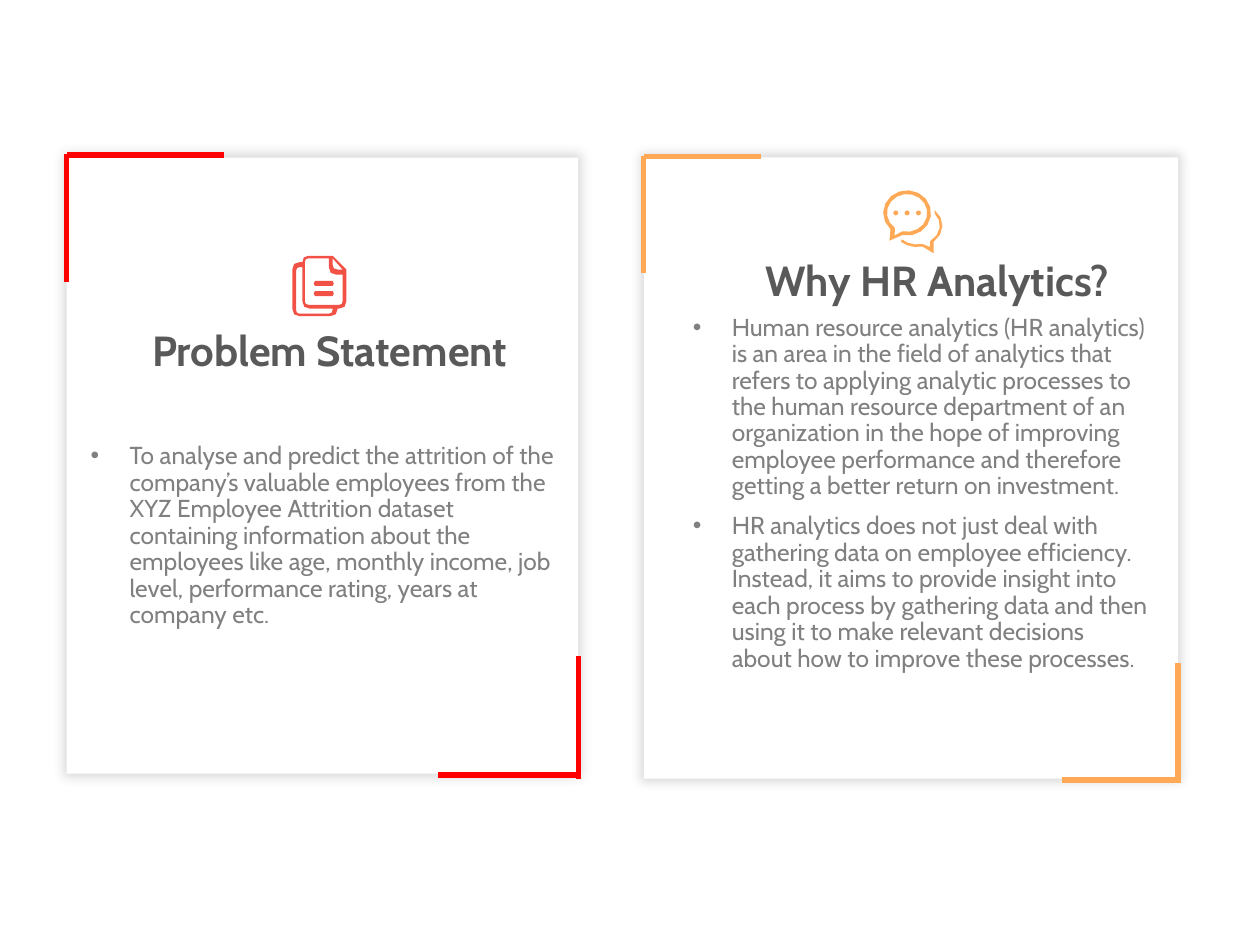
from math import ceil, cos, radians, sin

from lxml.etree import SubElement
from pptx import Presentation
from pptx.dml.color import RGBColor
from pptx.enum.shapes import MSO_CONNECTOR as Connector, MSO_SHAPE as Shape
from pptx.enum.text import MSO_AUTO_SIZE as AutoSize, PP_ALIGN as Align
from pptx.oxml.ns import qn
from pptx.util import Inches, Pt

COLORS = {
    "card": "FFFFFF",
    "shadow": "404040",
    "heading": "595959",
    "body": "808080",
    "red": "FF0000",
    "coral": "F25245",
    "orange": "FFA956",
}


def rounded(*corners):
    """Contour through (x, y, radius) corners, each eased by three points."""
    points = []
    for i, (x, y, radius) in enumerate(corners):
        if not radius:
            points.append((x, y))
            continue
        ends = []
        for nx, ny, _ in (corners[i - 1], corners[(i + 1) % len(corners)]):
            share = radius / ((nx - x) ** 2 + (ny - y) ** 2) ** 0.5
            ends.append((x + (nx - x) * share, y + (ny - y) * share))
        (ax, ay), (bx, by) = ends
        points += [(ax, ay), ((ax + 2 * x + bx) / 4, (ay + 2 * y + by) / 4), (bx, by)]
    return points


def bar(left, top, right, bottom):
    """Flat bar with pointed-round ends."""
    cut = (bottom - top) / 4
    return [(left + cut, top), (right - cut, top), (right, top + 2 * cut),
            (right - cut, bottom), (left + cut, bottom), (left, top + 2 * cut)]


def arc(cx, cy, rx, ry, start=0, end=360, step=24):
    """Points on an ellipse; angles in degrees, clockwise from the right."""
    count = ceil(abs(end - start) / step)
    angles = [radians(start + (end - start) * i / count) for i in range(count + 1)]
    return [(cx + rx * cos(a), cy + ry * sin(a)) for a in angles]


class SlideBuilder:
    """Holds the text style and the slide being filled."""
    font = "Cabin"
    line_spacing = 0.9
    space_before = Pt(7.5)
    indent = Inches(0.31)

    def __init__(self, slide):
        self.slide = slide
        self.shapes = slide.shapes

    def color(self, name):
        return RGBColor.from_string(COLORS[name])

    def card(self, left, top, width, height):
        card = self.shapes.add_shape(Shape.RECTANGLE, Inches(left), Inches(top),
                                     Inches(width), Inches(height))
        card.fill.solid()
        card.fill.fore_color.rgb = self.color("card")
        card.line.fill.background()
        card.shadow.inherit = False
        effects = card._element.spPr.find(qn("a:effectLst"))
        shadow = SubElement(effects, qn("a:outerShdw"), blurRad=str(Pt(6)),
                            dist="0", dir="0", sx="101000", sy="101000",
                            algn="ctr", rotWithShape="0")
        tint = SubElement(shadow, qn("a:srgbClr"), val=COLORS["shadow"])
        SubElement(tint, qn("a:alpha"), val="20000")

    def line(self, x1, y1, x2, y2, color):
        line = self.shapes.add_connector(Connector.STRAIGHT, Inches(x1), Inches(y1),
                                         Inches(x2), Inches(y2))
        line.line.color.rgb = self.color(color)
        line.line.width = Pt(3)
        SubElement(line._element.spPr, qn("a:effectLst"))

    def text(self, left, top, width, height, paragraphs, size, color,
             bold=False, bulleted=False):
        box = self.shapes.add_textbox(Inches(left), Inches(top),
                                      Inches(width), Inches(height))
        frame = box.text_frame
        frame.word_wrap = True
        frame.auto_size = AutoSize.SHAPE_TO_FIT_TEXT
        for i, wording in enumerate(paragraphs):
            paragraph = frame.add_paragraph() if i else frame.paragraphs[0]
            paragraph.line_spacing = self.line_spacing
            paragraph.space_before = self.space_before
            if bulleted:
                self.bullet(paragraph)
            else:
                paragraph.alignment = Align.CENTER
            run = paragraph.add_run()
            run.text = wording
            run.font.name = self.font
            run.font.size = Pt(size)
            run.font.bold = bold
            run.font.color.rgb = self.color(color)

    def bullet(self, paragraph):
        properties = paragraph._p.get_or_add_pPr()
        properties.set("marL", str(self.indent))
        properties.set("indent", str(-self.indent))
        SubElement(properties, qn("a:buFont"), typeface="Arial")
        SubElement(properties, qn("a:buChar"), char="•")

    def heading(self, left, top, width, wording):
        self.text(left, top, width, 0.46, [wording], 24, "heading", bold=True)

    def body(self, left, top, width, height, paragraphs):
        self.text(left, top, width, height, paragraphs, 14, "body", bulleted=True)

    def icon(self, contours, color):
        """One filled outline; contours inside others become holes."""
        builder = None
        for contour in contours:
            start, *rest = [(Inches(x), Inches(y)) for x, y in contour]
            if builder is None:
                builder = self.shapes.build_freeform(*start, scale=1.0)
            else:
                builder.move_to(*start)
            builder.add_line_segments(rest, close=True)
        icon = builder.convert_to_shape()
        icon.fill.solid()
        icon.fill.fore_color.rgb = self.color(color)
        icon.line.fill.background()
        icon.shadow.inherit = False


DOCUMENT_ICON = [
    rounded((2.64, 2.03, 0), (2.75, 2.14, 0), (2.75, 2.45, 0.06), (2.68, 2.45, 0),
            (2.68, 2.51, 0.06), (2.32, 2.51, 0.06), (2.32, 2.08, 0.06),
            (2.4, 2.08, 0), (2.4, 2.03, 0.05)),
    rounded((2.35, 2.12, 0.03), (2.4, 2.12, 0), (2.4, 2.45, 0.06), (2.64, 2.45, 0),
            (2.64, 2.49, 0.03), (2.35, 2.49, 0.03)),
    rounded((2.42, 2.05, 0.03), (2.61, 2.05, 0), (2.61, 2.18, 0.06), (2.72, 2.18, 0),
            (2.72, 2.42, 0.03), (2.42, 2.42, 0.03)),
    rounded((2.64, 2.05, 0), (2.72, 2.14, 0), (2.64, 2.14, 0.04)),
    *[bar(2.49, top, 2.65, top + 0.04) for top in (2.23, 2.31)],
]

CHAT_ICON = [
    arc(7.2, 1.69, 0.19, 0.18, 134, 462) + [(7.06, 1.91)],
    arc(7.2, 1.69, 0.16, 0.15, 127, 464) + [(7.1, 1.87)],
    *[arc(x, 1.69, 0.02, 0.02, end=315, step=45) for x in (7.11, 7.2, 7.29)],
    arc(7.28, 1.79, 0.2, 0.17, -46, 49) + [(7.41, 2.01)]
    + arc(7.28, 1.79, 0.2, 0.17, 78, 130)
    + arc(7.28, 1.79, 0.18, 0.15, 133, 77) + [(7.38, 1.96)]
    + arc(7.28, 1.79, 0.18, 0.15, 55, -40),
]

RED_CORNERS = [(0.53, 1.23, 1.78, 1.23), (0.53, 1.22, 0.53, 2.24),
               (4.59, 6.18, 4.59, 5.21), (4.59, 6.15, 3.48, 6.15)]
ORANGE_CORNERS = [(5.11, 1.24, 5.11, 2.17), (5.11, 1.24, 6.04, 1.24),
                  (9.35, 6.19, 9.35, 5.26), (9.37, 6.19, 8.43, 6.19)]

PROBLEM = [
    "To analyse and predict the attrition of the company’s valuable employees from "
    "the XYZ Employee Attrition dataset containing information about the employees "
    "like age, monthly income, job level, performance rating, years at company etc.",
]
REASONS = [
    "Human resource analytics (HR analytics) is an area in the field of analytics "
    "that refers to applying analytic processes to the human resource department of "
    "an organization in the hope of improving employee performance and therefore "
    "getting a better return on investment.",
    "HR analytics does not just deal with gathering data on employee efficiency. "
    "Instead, it aims to provide insight into each process by gathering data and "
    "then using it to make relevant decisions about how to improve these processes.",
]


def main():
    deck = Presentation()
    deck.slide_width, deck.slide_height = Inches(10), Inches(7.5)
    page = SlideBuilder(deck.slides.add_slide(deck.slide_layouts[6]))

    page.card(0.53, 1.25, 4.06, 4.89)
    page.card(5.11, 1.25, 4.24, 4.93)
    for corners, color in ((RED_CORNERS, "red"), (ORANGE_CORNERS, "orange")):
        for ends in corners:
            page.line(*ends, color)

    page.body(0.62, 3.47, 3.92, 1.73, PROBLEM)
    page.heading(0.77, 2.57, 3.69, "Problem Statement")
    page.icon(DOCUMENT_ICON, "coral")

    page.body(5.4, 2.45, 3.81, 3.47, REASONS)
    page.heading(5.64, 2.02, 3.6, "Why HR Analytics?")
    page.icon(CHAT_ICON, "orange")

    deck.save("out.pptx")


if __name__ == "__main__":
    main()
